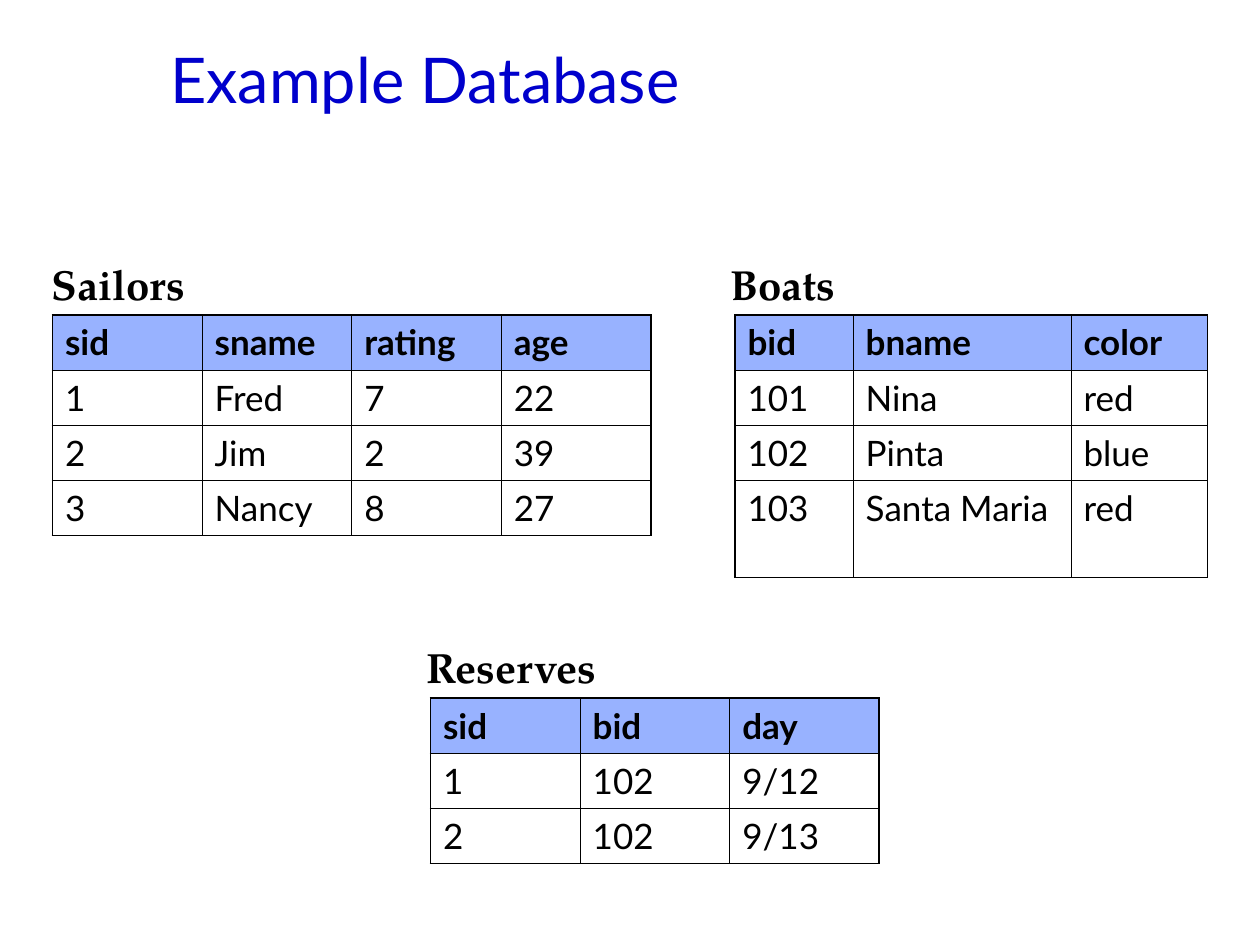
from dataclasses import dataclass

from lxml import etree
from pptx import Presentation
from pptx.dml.color import RGBColor
from pptx.enum.text import MSO_ANCHOR, MSO_AUTO_SIZE, PP_ALIGN
from pptx.oxml.ns import qn
from pptx.util import Inches, Pt

LEFT = PP_ALIGN.LEFT
TOP, MIDDLE = MSO_ANCHOR.TOP, MSO_ANCHOR.MIDDLE
NO_FIT, GROW = MSO_AUTO_SIZE.NONE, MSO_AUTO_SIZE.SHAPE_TO_FIT_TEXT


@dataclass(frozen=True)
class Theme:
    sans: str = "Lato"
    serif: str = "TeX Gyre Pagella"
    blue: str = "0000CC"
    black: str = "000000"
    head: str = "3366FF"
    alpha: int = 50  # percent
    title: int = 36
    label: int = 24
    cell: int = 20
    thin: float = 0.45
    thick: float = 1.08


THEME = Theme()
ROW = 5.25  # usual table row, in grid units
LIFT = 6    # label top above its table


def grid(units):
    """Twelve grid units make an inch: the slide is 120 by 90."""
    return Inches(units / 12)


def add_run(para, text, font, size, color, bold=False):
    para.alignment = LEFT
    run = para.add_run()
    run.text = text
    run.font.name = font
    run.font.size = Pt(size)
    run.font.bold = bold
    run.font.color.rgb = RGBColor.from_string(color)


def set_title(slide, text):
    title = slide.shapes.title
    title.left, title.top, title.width, title.height = map(grid, (15, 0, 102, 15))
    frame = title.text_frame
    frame.vertical_anchor = MIDDLE
    frame.auto_size = NO_FIT
    add_run(frame.paragraphs[0], text, THEME.sans, THEME.title, THEME.blue)


def add_label(slide, text, x, y, width):
    box = slide.shapes.add_textbox(*map(grid, (x, y, width, LIFT)))
    frame = box.text_frame
    frame.word_wrap = False
    frame.auto_size = GROW
    add_run(frame.paragraphs[0], text, THEME.serif, THEME.label, THEME.black, True)


def set_edge(cell, side, width):
    props = cell._tc.get_or_add_tcPr()
    line = etree.SubElement(props, qn(f"a:ln{side}"), w=str(Pt(width)))
    fill = etree.SubElement(line, qn("a:solidFill"))
    etree.SubElement(fill, qn("a:srgbClr"), val=THEME.black)


def fill_head(cell):
    cell.fill.solid()
    cell.fill.fore_color.rgb = RGBColor.from_string(THEME.head)
    color = cell._tc.tcPr.find(f"{qn('a:solidFill')}/{qn('a:srgbClr')}")
    etree.SubElement(color, qn("a:alpha"), val=str(THEME.alpha * 1000))


def add_grid(slide, x, y, widths, heights, data):
    frame = slide.shapes.add_table(len(heights), len(widths), grid(x), grid(y),
                                   grid(sum(widths)), grid(sum(heights)))
    table = frame.table
    table.first_row = table.horz_banding = False
    for col, width in zip(table.columns, widths):
        col.width = grid(width)
    for row, height in zip(table.rows, heights):
        row.height = grid(height)

    last_row, last_col = len(heights) - 1, len(widths) - 1
    for r, values in enumerate(data):
        for c, text in enumerate(values):
            cell = table.cell(r, c)
            cell.vertical_anchor = TOP
            add_run(cell.text_frame.paragraphs[0], text,
                    THEME.sans, THEME.cell, THEME.black, r == 0)
            # Heavy outline, fine inner rules
            outer = {"L": c == 0, "R": c == last_col,
                     "T": r == 0, "B": r == last_row}
            for side, edge in outer.items():
                set_edge(cell, side, THEME.thick if edge else THEME.thin)
            if r == 0:
                fill_head(cell)
            else:
                cell.fill.background()


def add_relation(slide, name, label, place, widths, heights, data):
    """A named table: label holds its left and width."""
    x, y = place
    add_grid(slide, x, y, widths, heights, data)
    add_label(slide, name, label[0], y - LIFT, label[1])


def main():
    deck = Presentation()
    deck.slide_width, deck.slide_height = grid(120), grid(90)
    slide = deck.slides.add_slide(deck.slide_layouts[5])
    set_title(slide, "Example Database")

    # Upper left
    add_relation(slide, "Sailors", (3.75, 15.7), (5, 30), [14.25] * 4, [ROW] * 4, [
        ("sid", "sname", "rating", "age"),
        ("1", "Fred", "7", "22"),
        ("2", "Jim", "2", "39"),
        ("3", "Nancy", "8", "27"),
    ])
    # Lower middle
    add_relation(slide, "Reserves", (39.4, 20.2), (41, 66.5), [14.25] * 3, [ROW] * 3, [
        ("sid", "bid", "day"),
        ("1", "102", "9/12"),
        ("2", "102", "9/13"),
    ])
    # Upper right, with a taller last row
    add_relation(slide, "Boats", (68.4, 13.7), (70, 30), [11.25, 20.75, 13],
                 [ROW] * 3 + [9.25], [
        ("bid", "bname", "color"),
        ("101", "Nina", "red"),
        ("102", "Pinta", "blue"),
        ("103", "Santa Maria", "red"),
    ])
    deck.save("out.pptx")


if __name__ == "__main__":
    main()
